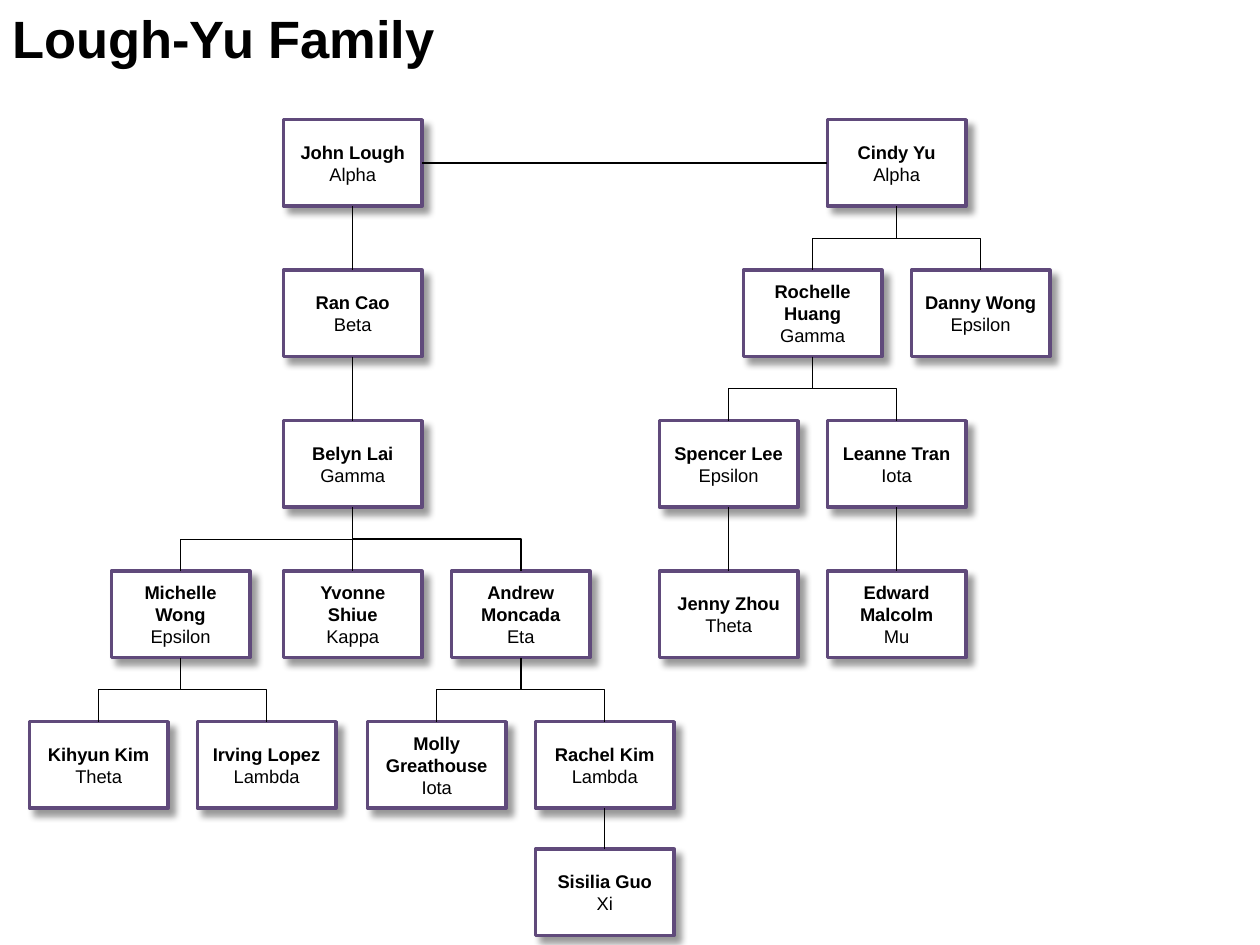
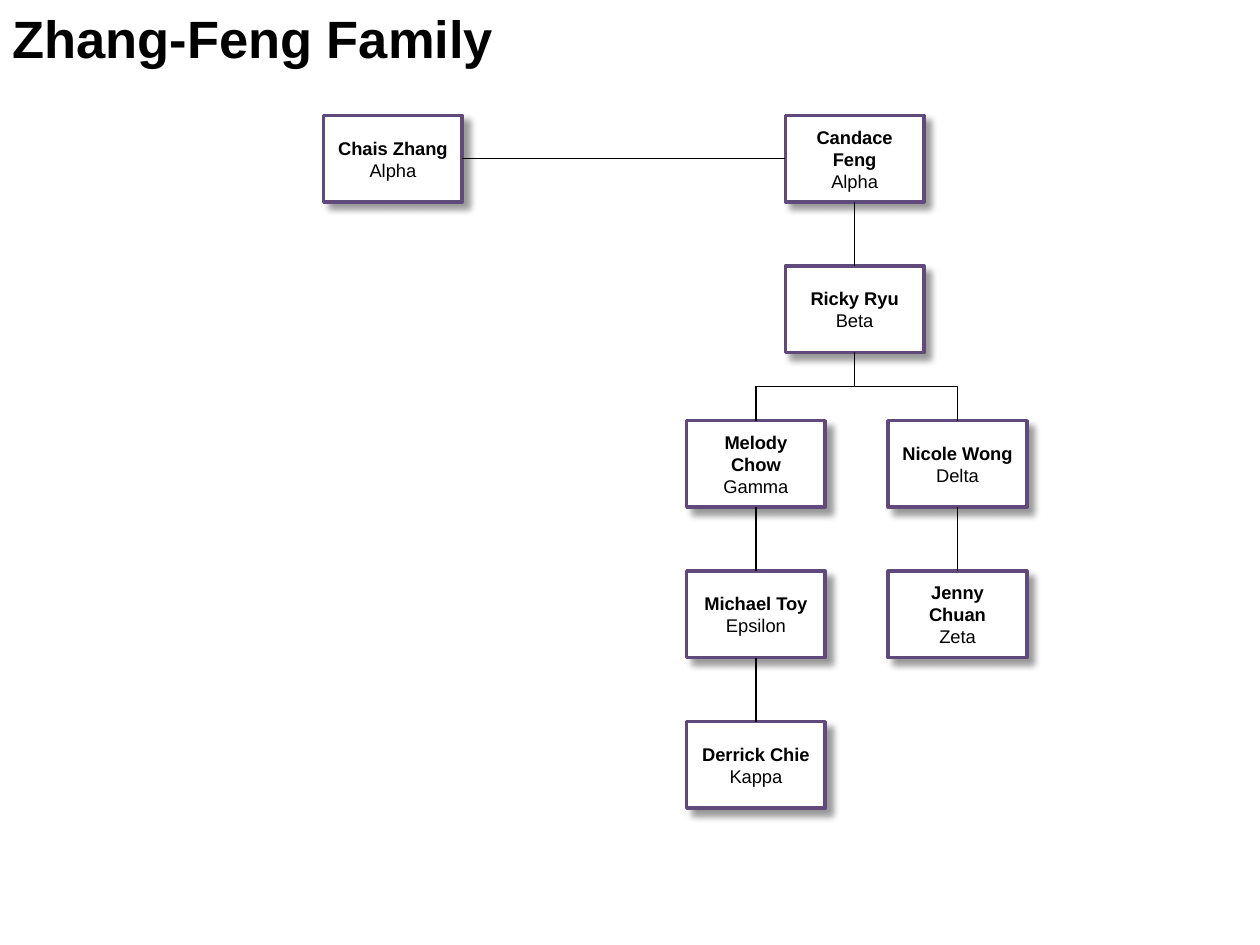
from dataclasses import dataclass

from lxml import etree
from pptx import Presentation
from pptx import util as u
from pptx.dml import color
from pptx.enum import shapes, text
from pptx.oxml import ns

BLACK = color.RGBColor(0x00, 0x00, 0x00)
WHITE = color.RGBColor(0xFF, 0xFF, 0xFF)
PURPLE = color.RGBColor(0x60, 0x4A, 0x7B)
FONT = "Arial"

# All lengths are in points.
SLIDE_WIDTH, SLIDE_HEIGHT = 720, 540
BOX_WIDTH, BOX_HEIGHT = 79.2, 49.4
HALF_GAP = 48  # from a parent's centre to each of two children
ROWS = [68.4 + 86 * row for row in range(5)] + [485.2]
ZHANG_FENG_ROWS = [66, 152] + ROWS[2:5]
TOP, LEFT, BOTTOM, RIGHT = range(4)  # connection sites of a rectangle


@dataclass
class Person:
    """A family member; offset is the distance from the parent's centre."""
    name: str
    generation: str
    offset: float = 0
    children: tuple = ()


LOUGH = Person("John Lough", "Alpha", children=(
    Person("Ran Cao", "Beta", children=(
        Person("Belyn Lai", "Gamma", children=(
            Person("Michelle Wong", "Epsilon", -98.4, (
                Person("Kihyun Kim", "Theta", -46.8),
                Person("Irving Lopez", "Lambda", 49.2))),
            Person("Yvonne Shiue", "Kappa"),
            Person("Andrew Moncada", "Eta", 96, (
                Person("Molly Greathouse", "Iota", -HALF_GAP),
                Person("Rachel Kim", "Lambda", HALF_GAP, (
                    Person("Sisilia Guo", "Xi"),)))))),)),))

YU = Person("Cindy Yu", "Alpha", children=(
    Person("Rochelle Huang", "Gamma", -HALF_GAP, (
        Person("Spencer Lee", "Epsilon", -HALF_GAP, (
            Person("Jenny Zhou", "Theta"),)),
        Person("Leanne Tran", "Iota", HALF_GAP, (
            Person("Edward Malcolm", "Mu"),)))),
    Person("Danny Wong", "Epsilon", HALF_GAP)))

ZHANG = Person("Chais Zhang", "Alpha")

FENG = Person("Candace Feng", "Alpha", children=(
    Person("Ricky Ryu", "Beta", children=(
        Person("Melody Chow", "Gamma", -56.4, (
            Person("Michael Toy", "Epsilon", children=(
                Person("Derrick Chie", "Kappa"),)),)),
        Person("Nicole Wong", "Delta", 58.8, (
            Person("Jenny Chuan", "Zeta"),)))),))


def add_run(paragraph, content, size, bold):
    run = paragraph.add_run()
    run.text = content
    run.font.name = FONT
    run.font.size = u.Pt(size)
    run.font.bold = bold
    run.font.color.rgb = BLACK


def add_title(slide, title):
    shape = slide.shapes.add_textbox(0, 0, u.Pt(SLIDE_WIDTH), u.Pt(43.9))
    frame = shape.text_frame
    frame.word_wrap = True
    frame.auto_size = text.MSO_AUTO_SIZE.SHAPE_TO_FIT_TEXT
    add_run(frame.paragraphs[0], title, 30, True)


def add_shadow(shape):
    shape.shadow.inherit = False
    effects = shape.element.spPr.find(ns.qn("a:effectLst"))
    shadow = etree.SubElement(
        effects, ns.qn("a:outerShdw"), blurRad=str(u.Pt(4)), dist=str(u.Pt(5)),
        dir=str(45 * 60000), algn="tl", rotWithShape="0")
    tint = etree.SubElement(shadow, ns.qn("a:srgbClr"), val=str(BLACK))
    etree.SubElement(tint, ns.qn("a:alpha"), val="40000")


def add_person_box(slide, person, center, top):
    shape = slide.shapes.add_shape(
        shapes.MSO_SHAPE.RECTANGLE, u.Pt(center - BOX_WIDTH / 2), u.Pt(top),
        u.Pt(BOX_WIDTH), u.Pt(BOX_HEIGHT))
    shape.fill.solid()
    shape.fill.fore_color.rgb = WHITE
    shape.line.color.rgb = PURPLE
    shape.line.width = u.Pt(2)
    add_shadow(shape)
    frame = shape.text_frame
    frame.word_wrap = True
    frame.vertical_anchor = text.MSO_ANCHOR.MIDDLE
    for paragraph, content, bold in (
            (frame.paragraphs[0], person.name, True),
            (frame.add_paragraph(), person.generation, False)):
        paragraph.alignment = text.PP_ALIGN.CENTER
        add_run(paragraph, content, 10.5, bold)
    return shape


def connect(slide, kind, start, start_site, end, end_site):
    connector = slide.shapes.add_connector(kind, 0, 0, 0, 0)
    connector.begin_connect(start, start_site)
    connector.end_connect(end, end_site)
    connector.line.color.rgb = BLACK
    connector.line.width = u.Pt(0.75)
    etree.SubElement(connector.element.spPr, ns.qn("a:effectLst"))
    return connector


def turn_upright(connector, to_right):
    """Rotate an elbow connector so that it leaves its parent downwards."""
    across, down = connector.width, connector.height
    connector.left += (across - down) // 2
    connector.top += (down - across) // 2
    connector.width, connector.height = down, across
    transform = connector.element.spPr.xfrm
    transform.flipH = to_right
    transform.rot = 270 if to_right else 90


def add_tree(slide, person, center, rows):
    """Draw a person and all descendants, one row per level."""
    box = add_person_box(slide, person, center, rows[0])
    for child in person.children:
        child_box = add_tree(slide, child, center + child.offset, rows[1:])
        if child.offset:
            elbow = connect(slide, shapes.MSO_CONNECTOR.ELBOW,
                            box, BOTTOM, child_box, TOP)
            turn_upright(elbow, child.offset > 0)
        else:
            connect(slide, shapes.MSO_CONNECTOR.STRAIGHT,
                    box, BOTTOM, child_box, TOP)
    return box


def add_family_slide(presentation, title, founders, rows):
    """Add a slide for two founders, each given as (person, centre)."""
    slide = presentation.slides.add_slide(presentation.slide_layouts[6])
    add_title(slide, title)
    left_box, right_box = [add_tree(slide, person, center, rows)
                           for person, center in founders]
    connect(slide, shapes.MSO_CONNECTOR.STRAIGHT,
            left_box, RIGHT, right_box, LEFT)


def main():
    presentation = Presentation()
    presentation.slide_width = u.Pt(SLIDE_WIDTH)
    presentation.slide_height = u.Pt(SLIDE_HEIGHT)
    add_family_slide(presentation, "Lough-Yu Family",
                     [(LOUGH, 201.6), (YU, 512.4)], ROWS)
    add_family_slide(presentation, "Zhang-Feng Family",
                     [(ZHANG, 224.6), (FENG, 488.4)], ZHANG_FENG_ROWS)
    presentation.save("out.pptx")


if __name__ == "__main__":
    main()
